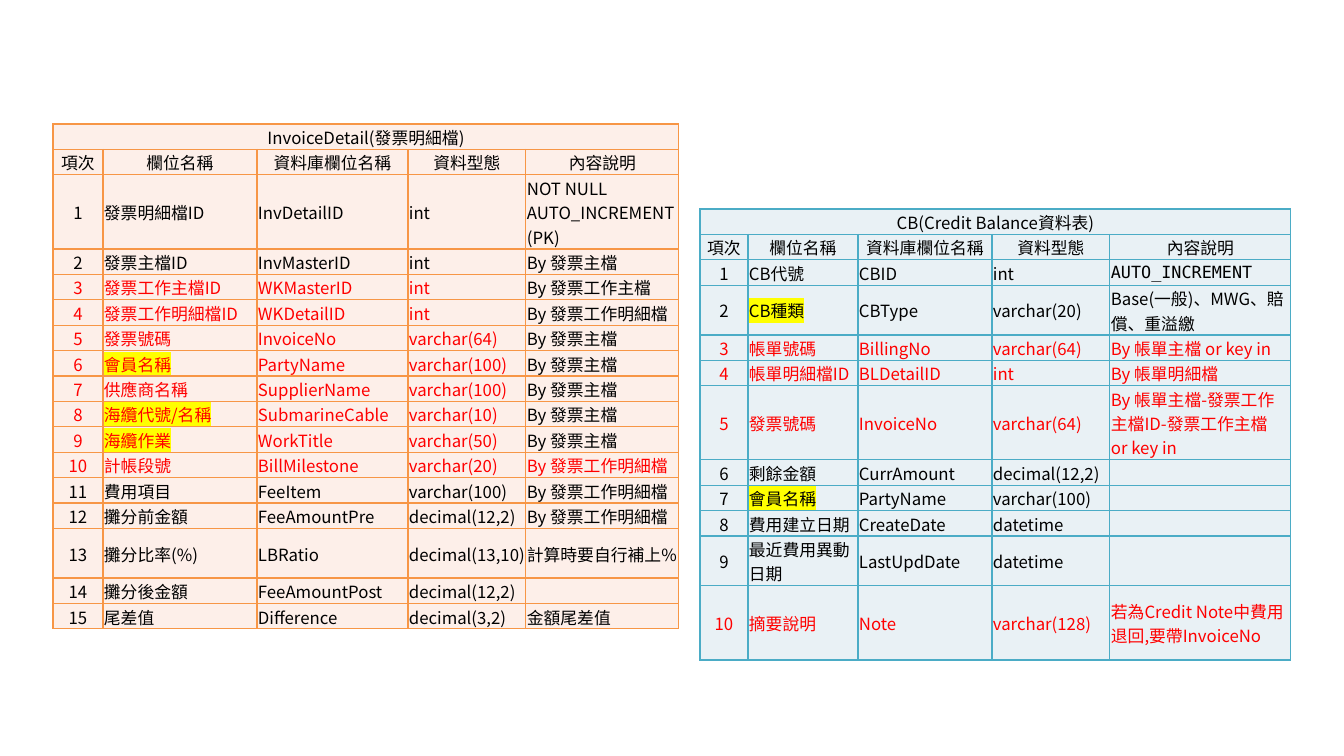
from lxml.etree import SubElement
from pptx import Presentation
from pptx.dml.color import RGBColor as Rgb
from pptx.enum.text import MSO_ANCHOR as Anchor, PP_ALIGN as Align
from pptx.oxml.ns import qn
from pptx.util import Emu, Pt

SCALE = 914400 / 100.8
COLORS = {
    "text": "000000", "red": "FF0000", "marker": "FFFF00",
    "invoice_fill": "FDEFE9", "invoice_line": "F79646",
    "credit_fill": "E9F1F5", "credit_line": "4BACC6",
}
FONT, MONO = "Noto Sans CJK SC", "DejaVu Sans Mono"
SIZE = 12
LINE_HEIGHT = 24
INSET = 1
HEADINGS = ("項次", "欄位名稱", "資料庫欄位名稱", "資料型態", "內容說明")
MARKED = {"會員名稱", "海纜代號/名稱", "海纜作業", "CB種類"}

INVOICE_FIELDS = [
    ("發票明細檔ID", "InvDetailID", "int", "NOT NULL AUTO_INCREMENT (PK)"),
    ("發票主檔ID", "InvMasterID", "int", "By 發票主檔"),
    ("發票工作主檔ID", "WKMasterID", "int", "By 發票工作主檔"),
    ("發票工作明細檔ID", "WKDetailID", "int", "By 發票工作明細檔"),
    ("發票號碼", "InvoiceNo", "varchar(64)", "By 發票主檔"),
    ("會員名稱", "PartyName", "varchar(100)", "By 發票主檔"),
    ("供應商名稱", "SupplierName", "varchar(100)", "By 發票主檔"),
    ("海纜代號/名稱", "SubmarineCable", "varchar(10)", "By 發票主檔"),
    ("海纜作業", "WorkTitle", "varchar(50)", "By 發票主檔"),
    ("計帳段號", "BillMilestone", "varchar(20)", "By 發票工作明細檔"),
    ("費用項目", "FeeItem", "varchar(100)", "By 發票工作明細檔"),
    ("攤分前金額", "FeeAmountPre", "decimal(12,2)", "By 發票工作明細檔"),
    ("攤分比率(%)", "LBRatio", "decimal(13,10)", "計算時要自行補上%"),
    ("攤分後金額", "FeeAmountPost", "decimal(12,2)", ""),
    ("尾差值", "Difference", "decimal(3,2)", "金額尾差值"),
]
CREDIT_FIELDS = [
    ("CB代號", "CBID", "int", "AUTO_INCREMENT"),
    ("CB種類", "CBType", "varchar(20)", "Base(一般)、MWG、賠償、重溢繳"),
    ("帳單號碼", "BillingNo", "varchar(64)", "By 帳單主檔 or key in"),
    ("帳單明細檔ID", "BLDetailID", "int", "By 帳單明細檔"),
    ("發票號碼", "InvoiceNo", "varchar(64)",
     "By 帳單主檔-發票工作主檔ID-發票工作主檔\vor key in"),
    ("剩餘金額", "CurrAmount", "decimal(12,2)", ""),
    ("會員名稱", "PartyName", "varchar(100)", ""),
    ("費用建立日期", "CreateDate", "datetime", ""),
    ("最近費用異動日期", "LastUpdDate", "datetime", ""),
    ("摘要說明", "Note", "varchar(128)", "若為Credit Note中費用退回,要帶InvoiceNo".replace(",", ",")),
]


def px(length):
    return Emu(round(length * SCALE))


def style_span(span, color, font, marked):
    span.font.size = Pt(SIZE)
    span.font.color.rgb = Rgb.from_string(COLORS[color])
    props = span.font._element
    if marked:
        highlight = SubElement(props, qn("a:highlight"))
        SubElement(highlight, qn("a:srgbClr"), val=COLORS["marker"])
    span.font.name = font
    SubElement(props, qn("a:ea"), typeface=font)


def write_text(cell, text, color="text", font=FONT, align=Align.LEFT, marked=False):
    cell.vertical_anchor = Anchor.MIDDLE
    cell.margin_left = cell.margin_right = cell.margin_top = px(INSET)
    cell.margin_bottom = 0
    para = cell.text_frame.paragraphs[0]
    para.alignment = align
    if not text:
        SubElement(para._p, qn("a:endParaRPr"), sz=str(SIZE * 100))
    for index, line in enumerate(text.split("\v") if text else []):
        if index:
            para.add_line_break()
        span = para.add_run()
        span.text = line
        style_span(span, color, font, marked)


def paint_cell(cell, fill, line):
    props = cell._tc.get_or_add_tcPr()
    for side in ("lnL", "lnR", "lnT", "lnB"):
        border = SubElement(props, qn("a:" + side), w=str(Pt(1)))
        paint = SubElement(border, qn("a:solidFill"))
        SubElement(paint, qn("a:srgbClr"), val=COLORS[line])
    cell.fill.solid()
    cell.fill.fore_color.rgb = Rgb.from_string(COLORS[fill])


def add_field_table(page, box, title, fields, widths, theme, tall, red, black_notes=()):
    left, top = box
    count = len(fields) + 2
    heights = [LINE_HEIGHT * tall.get(row - 1, 1) + INSET for row in range(count)]
    table = page.shapes.add_table(count, len(widths), px(left), px(top),
                                  px(sum(widths)), px(sum(heights))).table
    table.first_row = table.horz_banding = False
    for column, width in zip(table.columns, widths):
        column.width = px(width)
    for row, height in zip(table.rows, heights):
        row.height = px(height)
    for cell in table.iter_cells():
        paint_cell(cell, theme + "_fill", theme + "_line")

    table.cell(0, 0).merge(table.cell(0, len(widths) - 1))
    write_text(table.cell(0, 0), title, align=Align.CENTER)
    for column, heading in enumerate(HEADINGS):
        write_text(table.cell(1, column), heading, align=Align.CENTER)
    for number, field in enumerate(fields, 1):
        for column, text in enumerate((str(number), *field)):
            is_black_note = column == 4 and number in black_notes
            write_text(
                table.cell(number + 1, column), text,
                color="red" if number in red and not is_black_note else "text",
                font=MONO if text == "AUTO_INCREMENT" else FONT,
                align=Align.LEFT if column else Align.CENTER,
                marked=text in MARKED)


deck = Presentation()
deck.slide_width, deck.slide_height = px(1344), px(756)
page = deck.slides.add_slide(deck.slide_layouts[6])
add_field_table(page, (53, 124), "InvoiceDetail(發票明細檔)", INVOICE_FIELDS,
                (50, 154, 151, 118, 153), "invoice", tall={1: 3, 13: 2},
                red=range(3, 11), black_notes=range(3, 10))
add_field_table(page, (700, 209), "CB(Credit Balance資料表)", CREDIT_FIELDS,
                (48, 110, 134, 118, 181), "credit", tall={2: 2, 5: 3, 9: 2, 10: 3},
                red={3, 4, 5, 10})
deck.save("out.pptx")
